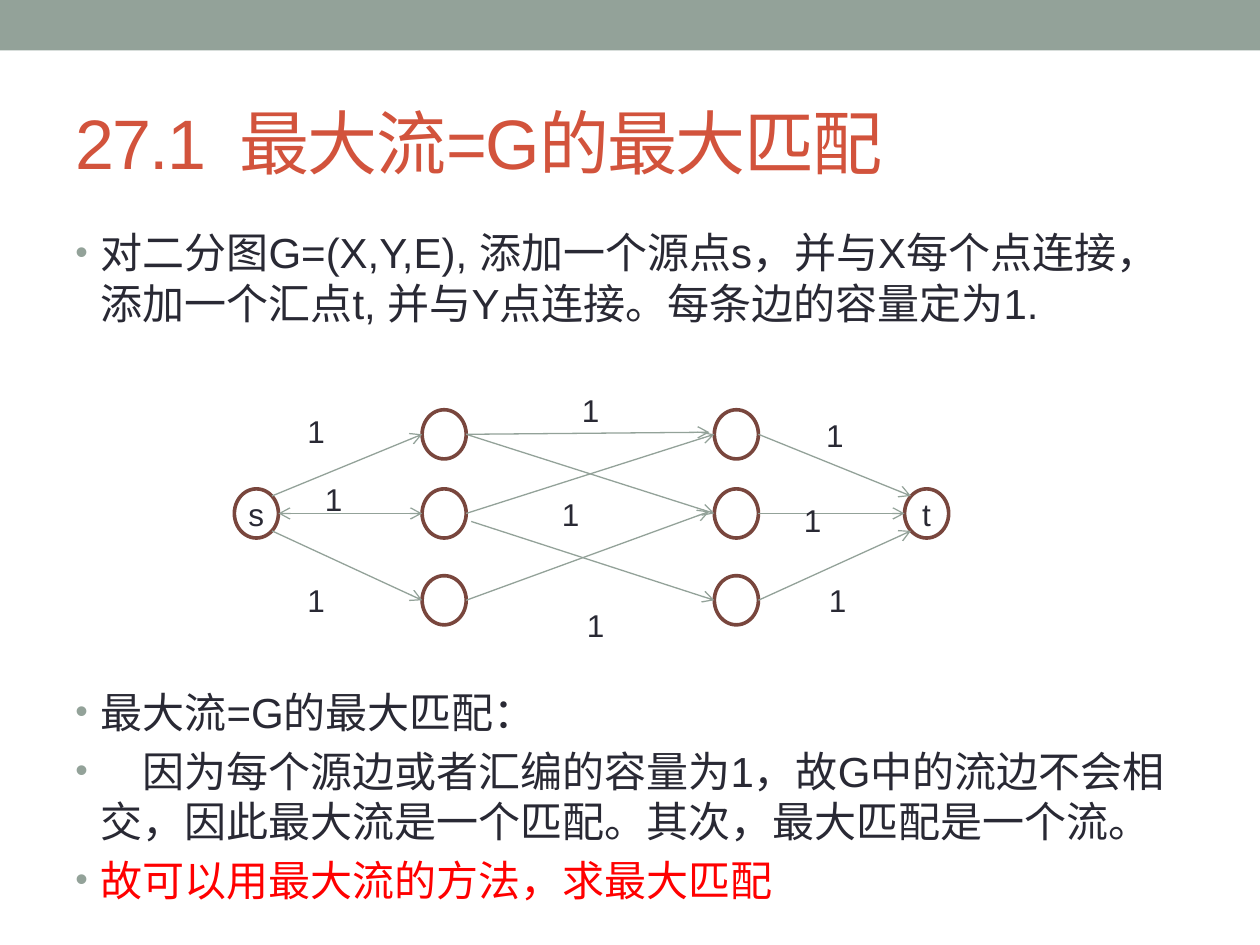
from lxml import etree
from pptx import Presentation
from pptx.dml.color import RGBColor
from pptx.enum.shapes import MSO_CONNECTOR, MSO_SHAPE
from pptx.enum.text import MSO_ANCHOR, MSO_AUTO_SIZE, PP_ALIGN
from pptx.oxml.ns import qn
from pptx.util import Pt


def color(code):
    """Turn a hex string into a colour."""
    return RGBColor.from_string(code)


def child(parent, tag, **attrs):
    """Add an XML child with the given attributes."""
    return etree.SubElement(parent, qn(tag), attrs)


class Page:
    """Holds the style and the current slide."""

    FONT, INK, SAGE = "Arial", "292934", "93A299"
    RUST, RING, RED = "D2533C", "79463D", "FF0000"
    RX, RY = 12.6, 14.05

    def __init__(self, slide):
        """Keep the slide to draw on."""
        self.slide = slide
        self.shapes = slide.shapes

    def style(self, para, size, code):
        """Set the font of a paragraph."""
        font = para.font
        font.name, font.size = self.FONT, Pt(size)
        font.color.rgb = color(code)

    def shape(self, kind, box, fill, line=None):
        """Add a preset shape without shadow."""
        item = self.shapes.add_shape(kind, *map(Pt, box))
        item.shadow.inherit = False
        item.fill.solid()
        item.fill.fore_color.rgb = color(fill)
        if line:
            item.line.color.rgb = color(line)
            item.line.width = Pt(2.08)
        else:
            item.line.fill.background()
        return item

    def title(self, text, box):
        """Place and format the title."""
        item = self.shapes.title
        item.left, item.top, item.width, item.height = map(Pt, box)
        frame = item.text_frame
        frame.text = text
        frame.auto_size = MSO_AUTO_SIZE.NONE
        frame.vertical_anchor = MSO_ANCHOR.MIDDLE
        para = frame.paragraphs[0]
        para.alignment = PP_ALIGN.LEFT
        self.style(para, 40, self.RUST)
        para.runs[0].font._element.set("spc", "-100")

    def text(self, box):
        """Add a wrapping text box and return its frame."""
        frame = self.shapes.add_textbox(*map(Pt, box)).text_frame
        frame.word_wrap = True
        return frame

    def body(self, items, box):
        """Add bulleted text from (text, space before, colour) items."""
        frame = self.text(box)
        for i, (text, space, code) in enumerate(items):
            para = frame.add_paragraph() if i else frame.paragraphs[0]
            para.text = text
            para.space_before = Pt(space)
            props = para._p.get_or_add_pPr()
            props.set("marL", str(Pt(14.4)))
            props.set("indent", str(-Pt(14.4)))
            child(child(props, "a:buClr"), "a:srgbClr", val=self.SAGE)
            child(props, "a:buSzPct", val="85000")
            child(props, "a:buFont", typeface=self.FONT)
            child(props, "a:buChar", char="•")
            self.style(para, 24, code)

    def label(self, text, x, y):
        """Add a capacity label."""
        para = self.text((x, y, 21, 29)).paragraphs[0]
        para.text = text
        self.style(para, 18, self.INK)

    def node(self, x, y, text=""):
        """Add a graph node around its centre."""
        box = (x - self.RX, y - self.RY, 2 * self.RX, 2 * self.RY)
        item = self.shape(MSO_SHAPE.OVAL, box, "FFFFFF", self.RING)
        if text:
            frame = item.text_frame
            frame.margin_left = frame.margin_right = 0
            frame.margin_top = frame.margin_bottom = 0
            frame.word_wrap = False
            frame.vertical_anchor = MSO_ANCHOR.MIDDLE
            para = frame.paragraphs[0]
            para.text = text
            para.alignment = PP_ALIGN.CENTER
            self.style(para, 18, self.INK)

    def port(self, node, side, turn=0):
        """Find a point on the rim: side is -1 or 1, turn -1, 0 or 1."""
        part = 0.71 if turn else 1
        return (node[0] + side * part * self.RX,
                node[1] + turn * part * self.RY)

    def arrow(self, start, end, both=False):
        """Add an arrow, with two heads if asked."""
        item = self.shapes.add_connector(
            MSO_CONNECTOR.STRAIGHT, *map(Pt, start + end))
        item.line.color.rgb = color(self.SAGE)
        item.line.width = Pt(0.75)
        line = item.line._get_or_add_ln()
        if both:
            child(line, "a:headEnd", type="arrow")
        child(line, "a:tailEnd", type="arrow")
        child(item._element.spPr, "a:effectLst")


deck = Presentation()
deck.slide_width, deck.slide_height = Pt(720), Pt(540)
page = Page(deck.slides.add_slide(deck.slide_layouts[5]))
page.shape(MSO_SHAPE.RECTANGLE, (0, 0, 720, 28.8), page.SAGE)
page.title("27.1\u2002最大流=G的最大匹配", (36, 41.8, 648, 77.8))
page.body([
    ("对二分图G=(X,Y,E), 添加一个源点s，并与X每个点连接，"
     "添加一个汇点t, 并与Y点连接。每条边的容量定为1.", 4.8, page.INK),
    ("最大流=G的最大匹配：", 205, page.INK),
    ("\u2003因为每个源边或者汇编的容量为1，故G中的流边不会相交，"
     "因此最大流是一个匹配。其次，最大匹配是一个流。", 4.8, page.INK),
    ("故可以用最大流的方法，求最大匹配", 4.8, page.RED),
], (36, 126, 648, 383.8))

rows = (248.2, 293.4, 343)
source, sink = (146.5, rows[1]), (529.5, rows[1])
left = [(253.8, y) for y in rows]
right = [(420.8, y) for y in rows]
for spot in left + right:
    page.node(*spot)
page.node(*source, "s")
page.node(*sink, "t")

for row, turn in enumerate((-1, 0, 1)):
    page.arrow(page.port(source, 1, turn), page.port(left[row], -1), turn == 0)
    page.arrow(page.port(right[row], 1), page.port(sink, -1, turn))

outs = [page.port(spot, 1) for spot in left]
ins = [page.port(spot, -1) for spot in right]
for start, end in (
    (outs[0], ins[1]), (outs[1], ins[0]), ((269.3, 298), ins[2]),
    (outs[0], (405.4, 247)), (outs[2], (405.4, 292.3)),
):
    page.arrow(start, end)

for spot in (
    (168.5, 232), (178.5, 270.7), (168.5, 328.3),
    (465, 234), (466.6, 328.3), (452.2, 283),
    (325.4, 219.6), (314, 279.4), (328.3, 342.7),
):
    page.label("1", *spot)

deck.save("out.pptx")
